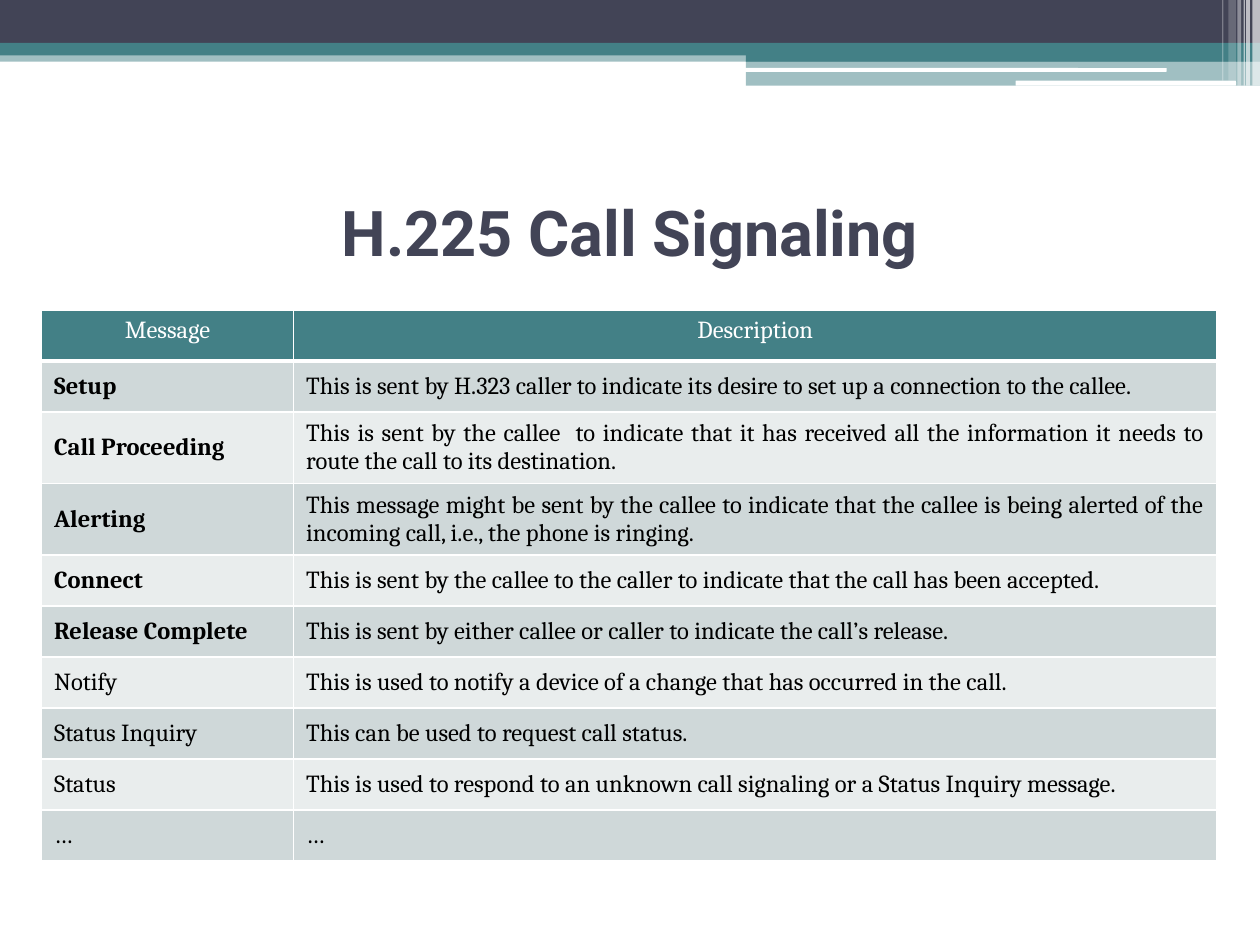
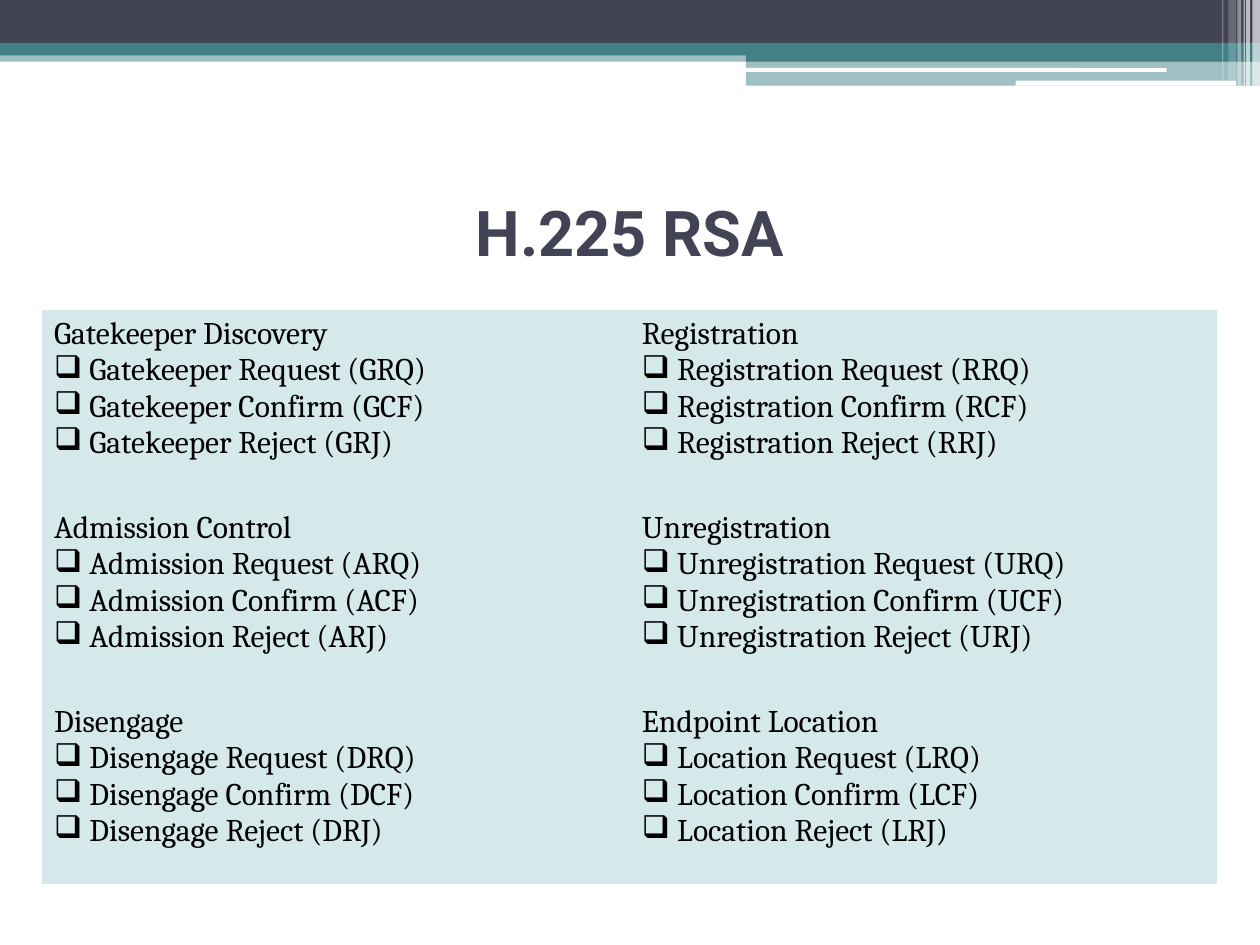
from lxml.etree import SubElement
from pptx import Presentation
from pptx.dml.color import RGBColor
from pptx.enum.shapes import MSO_SHAPE
from pptx.enum.text import MSO_ANCHOR, PP_ALIGN
from pptx.oxml.ns import qn
from pptx.util import Inches, Pt

COLORS = {
    "navy": "424456",
    "teal": "438086",
    "white": "FFFFFF",
    "black": "000000",
    "row_dark": "CFD8D9",
    "row_light": "E9EDED",
    "panel": "D6E9EA",
}
TITLE_FONT, BODY_FONT = "Roboto", "Cambria"
PLAIN_TABLE_STYLE = "{2D5ABB26-0587-4C30-8999-92F81FD0307C}"
TITLE_BOX = (0.5, 1.25, 9, 1.17)
TABLE_LEFT, TABLE_TOP, TABLE_WIDTH = 0.33, 2.46, 9.33

BANDS = [
    (0, 0.4, 10, 0.09, "teal", 50),
    (0, 0, 10, 0.34, "navy", 100),
    (0, 0.34, 10, 0.1, "teal", 100),
    (5.92, 0.39, 4.08, 0.1, "teal", 100),
    (5.92, 0.48, 4.08, 0.2, "teal", 50),
]
WHITE_BARS = [(5.91, 0.54, 3.35, 0.03), (8.06, 0.64, 1.75, 0.04)]
STRIPES = [
    (9.94, 0.06, 0.68, 65),
    (9.89, 0.03, 0.68, 65),
    (9.87, 0.01, 0.68, 60),
    (9.82, 0.03, 0.68, 40),
    (9.75, 0.06, 0.64, 20),
    (9.7, 0.01, 0.64, 30),
]

MESSAGES = [
    ("Setup", "This is sent by H.323 caller to indicate its desire to set up a connection to the callee."),
    ("Call Proceeding", "This is sent by the callee  to indicate that it has received all the "
     "information it needs to route the call to its destination."),
    ("Alerting", "This message might be sent by the callee to indicate that the callee is being "
     "alerted of the incoming call, i.e., the phone is ringing."),
    ("Connect", "This is sent by the callee to the caller to indicate that the call has been accepted."),
    ("Release Complete", "This is sent by either callee or caller to indicate the call’s release."),
    ("Notify", "This is used to notify a device of a change that has occurred in the call."),
    ("Status Inquiry", "This can be used to request call status."),
    ("Status", "This is used to respond to an unknown call signaling or a Status Inquiry message."),
    ("…", "…"),
]
MAIN_MESSAGE_COUNT = 5
TWO_LINE_ROWS = (2, 3)

RSA_GROUPS = [
    [("Gatekeeper Discovery", "Gatekeeper", "G"), ("Registration", "Registration", "R")],
    [("Admission Control", "Admission", "A"), ("Unregistration", "Unregistration", "U")],
    [("Disengage", "Disengage", "D"), ("Endpoint Location", "Location", "L")],
]
RSA_ACTIONS = [("Request", "RQ"), ("Confirm", "CF"), ("Reject", "RJ")]


def color(name):
    """Return the named colour."""
    return RGBColor.from_string(COLORS[name])


def write(paragraph, text, size=14, font=BODY_FONT, fill="black", bold=False, align=PP_ALIGN.LEFT):
    """Write one formatted run into a paragraph."""
    paragraph.alignment = align
    run = paragraph.add_run()
    run.text = text
    run.font.size = Pt(size)
    run.font.name = font
    run.font.bold = bold
    run.font.color.rgb = color(fill)


def add_bar(slide, box, fill, opacity=100, kind=MSO_SHAPE.RECTANGLE):
    """Add a borderless bar of the given opacity in percent."""
    shape = slide.shapes.add_shape(kind, *map(Inches, box))
    shape.shadow.inherit = False
    shape.line.fill.background()
    shape.fill.solid()
    shape.fill.fore_color.rgb = color(fill)
    if opacity < 100:
        tint = shape.fill._xPr.find(qn("a:solidFill"))[0]
        SubElement(tint, qn("a:alpha"), val=str(opacity * 1000))


def add_header_bands(slide):
    """Draw the bands and stripes along the top edge."""
    for *box, fill, opacity in BANDS:
        add_bar(slide, box, fill, opacity)
    for box in WHITE_BARS:
        add_bar(slide, box, "white", kind=MSO_SHAPE.ROUNDED_RECTANGLE)
    for left, width, height, opacity in STRIPES:
        add_bar(slide, (left, 0, width, height), "white", opacity)


def add_title(slide, text, box):
    """Add the centred slide title."""
    frame = slide.shapes.add_textbox(*map(Inches, box)).text_frame
    frame.word_wrap = True
    frame.vertical_anchor = MSO_ANCHOR.MIDDLE
    write(frame.paragraphs[0], text, size=36, font=TITLE_FONT, fill="navy", bold=True, align=PP_ALIGN.CENTER)


def add_plain_table(slide, left, top, widths, heights):
    """Add an unstyled table with the given column widths and row heights."""
    box = map(Inches, (left, top, sum(widths), sum(heights)))
    table = slide.shapes.add_table(len(heights), len(widths), *box).table
    table._tbl.tblPr.find(qn("a:tableStyleId")).text = PLAIN_TABLE_STYLE
    for column, width in zip(table.columns, widths):
        column.width = Inches(width)
    for row, height in zip(table.rows, heights):
        row.height = Inches(height)
    return table


def fill_cell(cell, fill):
    """Give a cell a solid fill."""
    cell.fill.solid()
    cell.fill.fore_color.rgb = color(fill)


def set_borders(cell, bottom=1):
    """Draw white lines around a cell, with a bottom width in points."""
    properties = cell._tc.get_or_add_tcPr()
    for side, width in (("lnL", 1), ("lnR", 1), ("lnT", 1), ("lnB", bottom)):
        line = SubElement(properties, qn(f"a:{side}"), w=str(Pt(width)))
        solid = SubElement(line, qn("a:solidFill"))
        SubElement(solid, qn("a:srgbClr"), val=COLORS["white"])


def add_message_table(slide, left, top, width, height):
    """List the call signaling messages under a header row."""
    rows = [("Message", "Description"), *MESSAGES]
    tall = 0.55
    short = (height - tall * len(TWO_LINE_ROWS)) / (len(rows) - len(TWO_LINE_ROWS))
    heights = [tall if index in TWO_LINE_ROWS else short for index in range(len(rows))]
    table = add_plain_table(slide, left, top, (2, width - 2), heights)
    for row_index, texts in enumerate(rows):
        is_header = row_index == 0
        for column_index, text in enumerate(texts):
            cell = table.cell(row_index, column_index)
            paragraph = cell.text_frame.paragraphs[0]
            set_borders(cell, bottom=3 if is_header else 1)
            if is_header:
                fill_cell(cell, "teal")
                write(paragraph, text, fill="white", align=PP_ALIGN.CENTER)
            else:
                fill_cell(cell, "row_dark" if row_index % 2 else "row_light")
                cell.vertical_anchor = MSO_ANCHOR.MIDDLE
                is_main = column_index == 0 and row_index <= MAIN_MESSAGE_COUNT
                write(paragraph, text, bold=is_main, align=PP_ALIGN.JUSTIFY)


def add_bullet(paragraph):
    """Give a paragraph a hanging box bullet."""
    properties = paragraph._p.get_or_add_pPr()
    indent = Inches(0.28)
    properties.set("marL", str(indent))
    properties.set("indent", str(-indent))
    SubElement(properties, qn("a:buChar"), char="❑")


def add_rsa_table(slide, left, top, width):
    """Lay out the message groups in two columns."""
    table = add_plain_table(slide, left, top, (width / 2, width / 2), (1.54, 1.54, 1.48))
    for row_index, groups in enumerate(RSA_GROUPS):
        for column_index, (heading, subject, letter) in enumerate(groups):
            cell = table.cell(row_index, column_index)
            fill_cell(cell, "panel")
            frame = cell.text_frame
            write(frame.paragraphs[0], heading, size=18)
            for action, suffix in RSA_ACTIONS:
                paragraph = frame.add_paragraph()
                write(paragraph, f"{subject} {action} ({letter}{suffix})", size=18)
                add_bullet(paragraph)


def add_base_slide(presentation, title):
    """Add a blank slide with the shared bands and a title."""
    slide = presentation.slides.add_slide(presentation.slide_layouts[6])
    add_header_bands(slide)
    add_title(slide, title, TITLE_BOX)
    return slide


def main():
    """Build and save the presentation."""
    presentation = Presentation()
    presentation.slide_width = Inches(10)
    presentation.slide_height = Inches(7.5)
    signaling = add_base_slide(presentation, "H.225 Call Signaling")
    add_message_table(signaling, TABLE_LEFT, TABLE_TOP, TABLE_WIDTH, 4.34)
    rsa = add_base_slide(presentation, "H.225 RSA")
    add_rsa_table(rsa, TABLE_LEFT, TABLE_TOP, TABLE_WIDTH)
    presentation.save("out.pptx")


if __name__ == "__main__":
    main()
